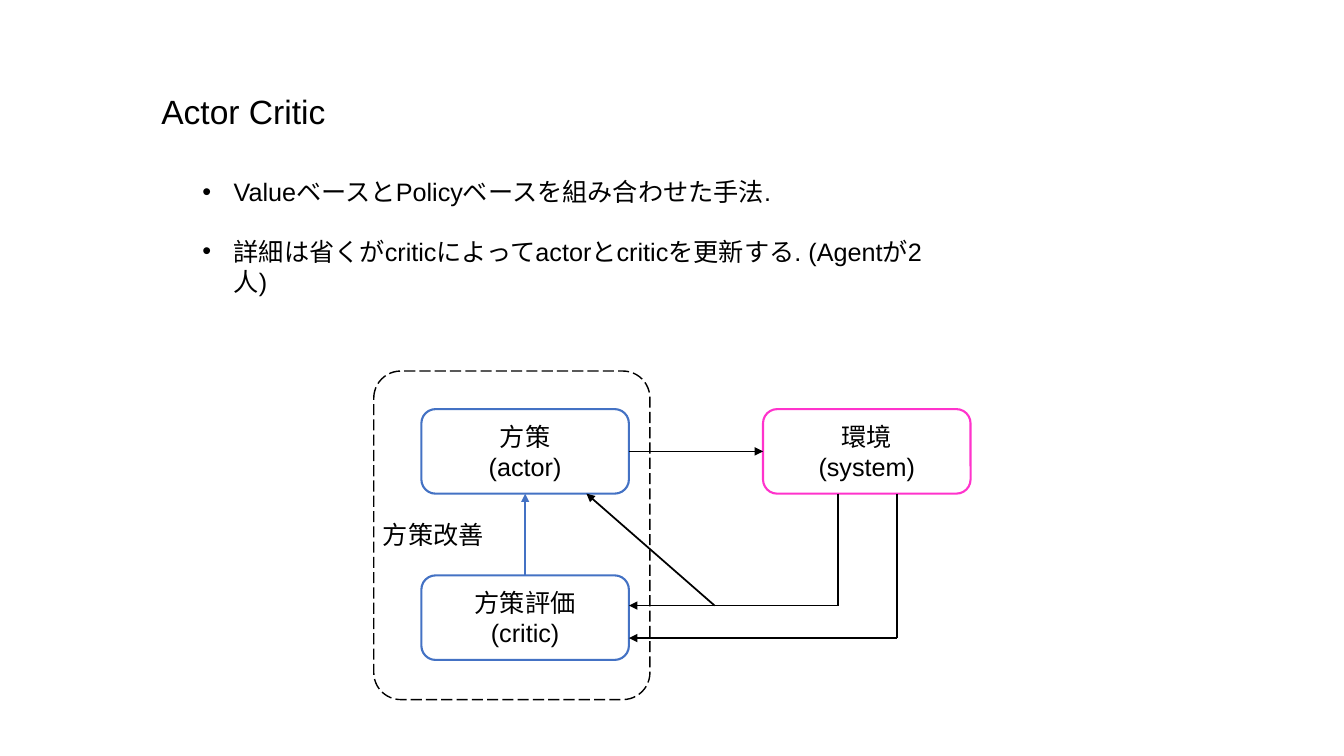
from lxml.etree import SubElement
from pptx import Presentation
from pptx.dml.color import RGBColor as RGB
from pptx.enum.dml import MSO_LINE as Dash
from pptx.enum.shapes import MSO_CONNECTOR as Conn, MSO_SHAPE as Form
from pptx.enum.text import MSO_ANCHOR as Anchor, PP_ALIGN as Align
from pptx.oxml.ns import qn
from pptx.util import Cm, Pt

HUES = {"ink": "000000", "blue": "4472C4", "pink": "FF33CC"}


def hue(name):
    return RGB.from_string(HUES[name])


def write(frame, lines, size=18, align=Align.LEFT, anchor=Anchor.TOP,
          wrap=True, bullet=False, gap=0):
    frame.word_wrap = wrap
    frame.vertical_anchor = anchor
    for i, line in enumerate(lines):
        para = frame.paragraphs[0] if i == 0 else frame.add_paragraph()
        para.alignment = align
        if gap and i:
            para.space_before = Pt(gap)
        if bullet:
            props = para._p.get_or_add_pPr()
            props.set("marL", str(Cm(0.79)))
            props.set("indent", str(Cm(-0.79)))
            SubElement(props, qn("a:buFont"), typeface="Arial")
            SubElement(props, qn("a:buChar"), char="•")
        run = para.add_run()
        run.text = line
        run.font.name = "Arial"
        run.font.size = Pt(size)
        run.font.color.rgb = hue("ink")


def label(slide, box, lines, **form):
    text = slide.shapes.add_textbox(*map(Cm, box))
    write(text.text_frame, lines, **form)


def panel(slide, box, color, width):
    shape = slide.shapes.add_shape(Form.ROUNDED_RECTANGLE, *map(Cm, box))
    shape.shadow.inherit = False
    shape.fill.background()
    shape.line.color.rgb = hue(color)
    shape.line.width = Pt(width)
    return shape


def link(slide, start, end, color="ink", arrow=True):
    line = slide.shapes.add_connector(Conn.STRAIGHT, *map(Cm, start + end))
    line.line.color.rgb = hue(color)
    line.line.width = Pt(1.25)
    if arrow:
        SubElement(line.line._get_or_add_ln(), qn("a:tailEnd"), type="triangle")
    SubElement(line._element.spPr, qn("a:effectLst"))


def head(slide, box, text):
    title = slide.shapes.title
    title.left, title.top, title.width, title.height = map(Cm, box)
    write(title.text_frame, [text], size=24)


def points(slide, box):
    label(slide, box, [
        "ValueベースとPolicyベースを組み合わせた手法.",
        "詳細は省くがcriticによってactorとcriticを更新する. (Agentが2人)",
    ], bullet=True, gap=21)


def diagram(slide, box):
    left, top, width, height = box
    wide, tall = 5.23, 2.13
    near, far = left + 1.2, left + 9.81
    high, low = top + 0.96, top + 5.15
    edge, base = near + wide, high + tall
    mid = near + wide / 2

    # Actor, critic and system
    nodes = [
        (near, high, "blue", "方策", "(actor)"),
        (near, low, "blue", "方策評価", "(critic)"),
        (far, high, "pink", "環境", "(system)"),
    ]
    for x, y, color, *lines in nodes:
        node = panel(slide, (x, y, wide, tall), color, 1.5)
        write(node.text_frame, lines, align=Align.CENTER, anchor=Anchor.MIDDLE)

    # Actions and policy improvement
    link(slide, (mid, low), (mid, base), "blue")
    link(slide, (edge, high + tall / 2), (far, high + tall / 2))

    # Feedback lanes from the system to the critic
    for x, y in [(far + 3.38, low + 1.58), (far + 1.88, low + 0.76)]:
        link(slide, (x, base), (x, y), arrow=False)
        link(slide, (x, y), (edge, y))
    link(slide, (edge + 2.16, low + 0.76), (edge - 1.07, base))

    # Agent frame
    label(slide, (left - 0.02, top + 3.6, 3.07, 1.02), ["方策改善"], wrap=False)
    agent = panel(slide, (left, top, width, height), "ink", 1)
    agent.adjustments[0] = 0.098
    agent.line.dash_style = Dash.LONG_DASH


def main():
    deck = Presentation()
    deck.slide_width, deck.slide_height = Cm(33.87), Cm(19.05)
    slide = deck.slides.add_slide(deck.slide_layouts[5])
    head(slide, (3.81, 2.16, 18.19, 1.27), "Actor Critic")
    points(slide, (4.85, 4.32, 19.15, 2.57))
    diagram(slide, (9.42, 9.35, 6.96, 8.28))
    deck.save("out.pptx")


if __name__ == "__main__":
    main()
